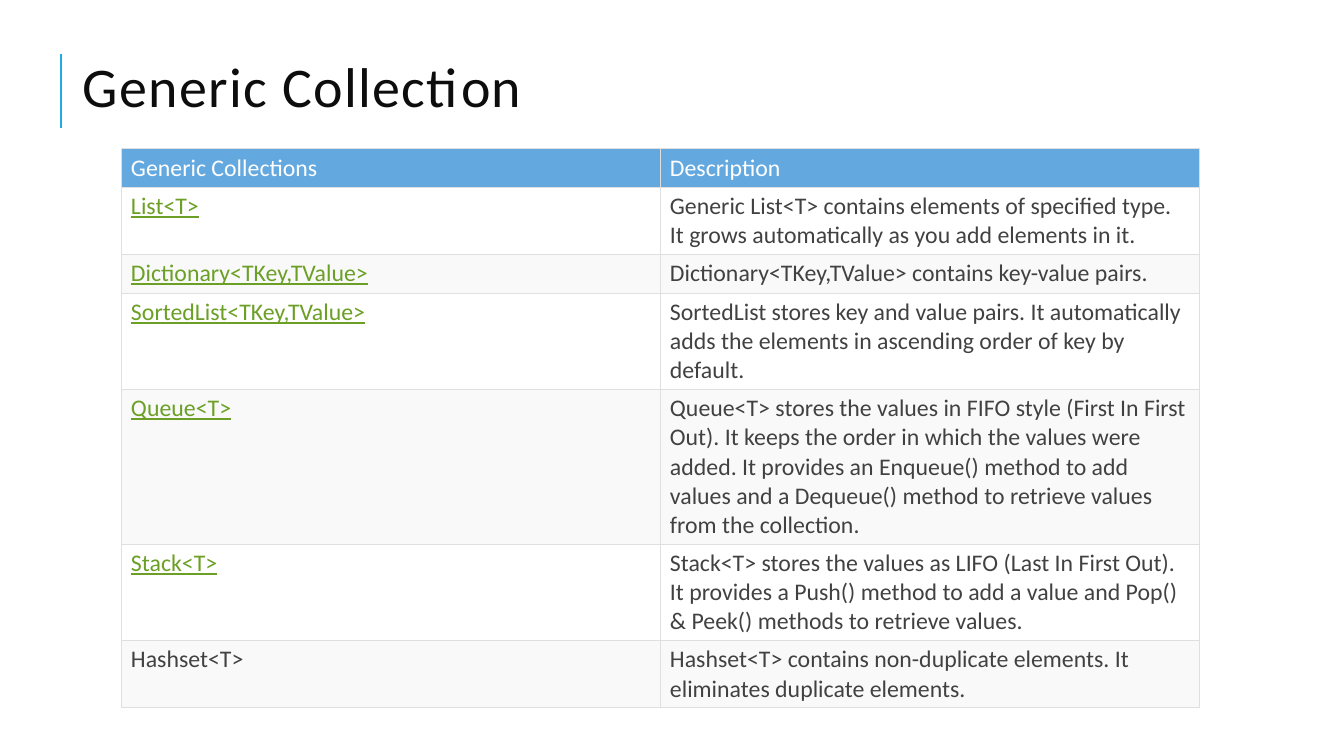
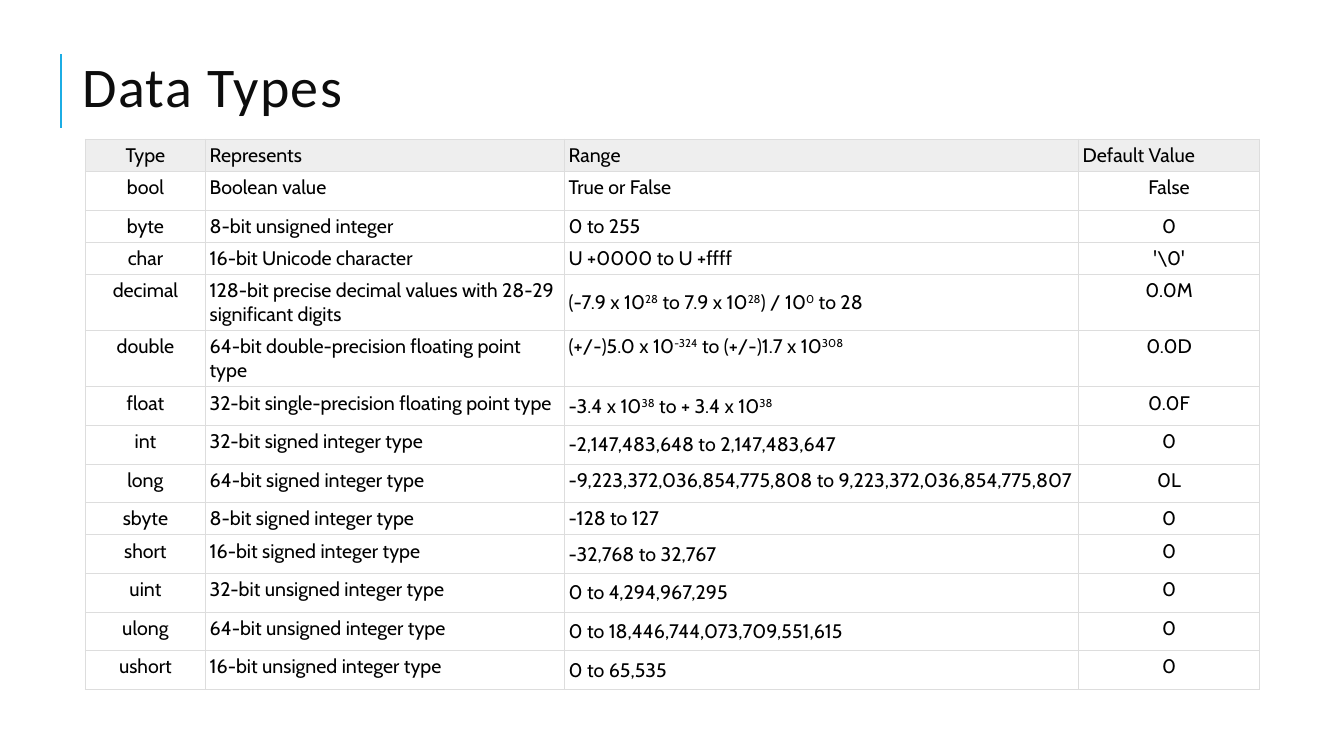
from dataclasses import dataclass

from lxml import etree
from pptx import Presentation
from pptx.dml.color import RGBColor
from pptx.enum import shapes, text
from pptx.oxml import ns
from pptx.util import Pt

ACCENT = "1CADE4"
TITLE_COLOR = "0D0D0D"
LINK_COLOR = "6B9F25"
BODY_COLOR = "414141"
WHITE = "FFFFFF"
BLACK = "000000"

LEFT, CENTER = text.PP_ALIGN.LEFT, text.PP_ALIGN.CENTER
TOP, MIDDLE, BOTTOM = (text.MSO_ANCHOR.TOP, text.MSO_ANCHOR.MIDDLE,
                       text.MSO_ANCHOR.BOTTOM)


@dataclass(frozen=True)
class CellContent:
    """Text of one cell; parts between carets are superscript."""
    text: str
    color: str = BLACK
    fill: str | None = None
    underline: bool = False
    align: text.PP_ALIGN = LEFT
    anchor: text.MSO_ANCHOR = TOP


@dataclass(frozen=True)
class TableStyle:
    font: str
    size: float
    border: str
    inset_x: float
    inset_y: float


@dataclass(frozen=True)
class DataType:
    name: str
    represents: str
    range: str
    default: str
    height: float = 27.6
    range_anchor: text.MSO_ANCHOR = TOP


COLLECTION_STYLE = TableStyle("Calibri", 17, "DFDFDF", 6.8, 3.4)
TYPE_STYLE = TableStyle("Cabin", 14, "DDDDDD", 3, 3)

COLLECTIONS = [
    ("List<T>",
     "Generic List<T> contains elements of specified type. It grows "
     "automatically as you add elements in it."),
    ("Dictionary<TKey,TValue>",
     "Dictionary<TKey,TValue> contains key-value pairs."),
    ("SortedList<TKey,TValue>",
     "SortedList stores key and value pairs. It automatically adds the "
     "elements in ascending order of key by default."),
    ("Queue<T>",
     "Queue<T> stores the values in FIFO style (First In First Out). It keeps "
     "the order in which the values were added. It provides an Enqueue() "
     "method to add values and a Dequeue() method to retrieve values from the "
     "collection."),
    ("Stack<T>",
     "Stack<T> stores the values as LIFO (Last In First Out). It provides a "
     "Push() method to add a value and Pop() & Peek() methods to retrieve "
     "values."),
    ("Hashset<T>",
     "Hashset<T> contains non-duplicate elements. It eliminates duplicate "
     "elements."),
]
UNLINKED = "Hashset<T>"
COLLECTION_HEIGHTS = [27.6, 48, 27.6, 68.8, 110.4, 69, 48]

SHORT_ROW = 23
TALL_ROW = 40.2
DATA_TYPES = [
    DataType("bool", "Boolean value", "True or False", "False"),
    DataType("byte", "8-bit unsigned integer", "0 to 255", "0", SHORT_ROW),
    DataType("char", "16-bit Unicode character", "U +0000 to U +ffff",
             r"'\0'", SHORT_ROW),
    DataType("decimal",
             "128-bit precise decimal values with 28-29 significant digits",
             "(-7.9 x 10^28^ to 7.9 x 10^28^) / 10^0^ to 28", "0.0M",
             TALL_ROW, MIDDLE),
    DataType("double", "64-bit double-precision floating point type",
             "(+/-)5.0 x 10^-324^ to (+/-)1.7 x 10^308^", "0.0D", TALL_ROW),
    DataType("float", "32-bit single-precision floating point type",
             "-3.4 x 10^38^ to + 3.4 x 10^38^", "0.0F", range_anchor=MIDDLE),
    DataType("int", "32-bit signed integer type",
             "-2,147,483,648 to 2,147,483,647", "0", range_anchor=MIDDLE),
    DataType("long", "64-bit signed integer type",
             "-9,223,372,036,854,775,808 to 9,223,372,036,854,775,807", "0L"),
    DataType("sbyte", "8-bit signed integer type", "-128 to 127", "0",
             SHORT_ROW),
    DataType("short", "16-bit signed integer type", "-32,768 to 32,767", "0",
             range_anchor=MIDDLE),
    DataType("uint", "32-bit unsigned integer type", "0 to 4,294,967,295", "0",
             range_anchor=MIDDLE),
    DataType("ulong", "64-bit unsigned integer type",
             "0 to 18,446,744,073,709,551,615", "0", range_anchor=MIDDLE),
    DataType("ushort", "16-bit unsigned integer type", "0 to 65,535", "0",
             range_anchor=MIDDLE),
]


def rgb(color: str) -> RGBColor:
    return RGBColor.from_string(color)


def add_run(paragraph, content: str, font: str, size: float, color: str):
    run = paragraph.add_run()
    run.text = content
    run.font.name = font
    run.font.size = Pt(size)
    run.font.bold = False
    run.font.color.rgb = rgb(color)
    return run


def add_titled_slide(presentation, title: str):
    """Add a blank slide with the accent line and the title."""
    slide = presentation.slides.add_slide(presentation.slide_layouts[6])
    line = slide.shapes.add_connector(
        shapes.MSO_CONNECTOR.STRAIGHT, Pt(43.9), Pt(91.4), Pt(43.9), Pt(38.4))
    line.line.color.rgb = rgb(ACCENT)
    line.line.width = Pt(1.5)
    etree.SubElement(line.element.spPr, ns.qn("a:effectLst"))

    box = slide.shapes.add_textbox(Pt(52), Pt(31.7), Pt(856.8), Pt(67))
    frame = box.text_frame
    frame.word_wrap = True
    frame.vertical_anchor = MIDDLE
    paragraph = frame.paragraphs[0]
    paragraph.line_spacing = 0.8
    run = add_run(paragraph, title, "Calibri", 40, TITLE_COLOR)
    run.font._element.set("spc", "100")
    return slide


def add_borders(cell, color: str) -> None:
    properties = cell._tc.get_or_add_tcPr()
    for position, side in enumerate(("lnL", "lnR", "lnT", "lnB")):
        border = etree.Element(ns.qn(f"a:{side}"), w=str(Pt(0.75)))
        fill = etree.SubElement(border, ns.qn("a:solidFill"))
        etree.SubElement(fill, ns.qn("a:srgbClr"), val=color)
        properties.insert(position, border)


def fill_cell(cell, content: CellContent, style: TableStyle) -> None:
    cell.margin_left = cell.margin_right = Pt(style.inset_x)
    cell.margin_top = cell.margin_bottom = Pt(style.inset_y)
    cell.vertical_anchor = content.anchor
    if content.fill:
        cell.fill.solid()
        cell.fill.fore_color.rgb = rgb(content.fill)
    else:
        cell.fill.background()
    add_borders(cell, style.border)

    paragraph = cell.text_frame.paragraphs[0]
    paragraph.alignment = content.align
    for index, part in enumerate(content.text.split("^")):
        if not part:
            continue
        run = add_run(paragraph, part, style.font, style.size, content.color)
        if content.underline:
            run.font.underline = True
        if index % 2:
            run.font._element.set("baseline", "30000")


def add_styled_table(slide, left: float, top: float, widths: list[float],
                     heights: list[float], rows: list[list[CellContent]],
                     style: TableStyle) -> None:
    table = slide.shapes.add_table(
        len(rows), len(widths), Pt(left), Pt(top),
        Pt(sum(widths)), Pt(sum(heights))).table
    table.first_row = table.horz_banding = False
    for column, width in zip(table.columns, widths):
        column.width = Pt(width)
    for row, height, contents in zip(table.rows, heights, rows):
        row.height = Pt(height)
        for cell, content in zip(row.cells, contents):
            fill_cell(cell, content, style)


def build_collection_slide(presentation) -> None:
    slide = add_titled_slide(presentation, "Generic Collection")
    rows = [[CellContent(heading, WHITE, "63A9E0", anchor=BOTTOM)
             for heading in ("Generic Collections", "Description")]]
    for index, (name, description) in enumerate(COLLECTIONS):
        fill = "F9F9F9" if index % 2 else WHITE
        linked = name != UNLINKED
        rows.append([
            CellContent(name, LINK_COLOR if linked else BODY_COLOR, fill,
                        underline=linked),
            CellContent(description, BODY_COLOR, fill),
        ])
    add_styled_table(slide, 86.8, 106.2, [385, 385], COLLECTION_HEIGHTS, rows,
                     COLLECTION_STYLE)


def build_type_slide(presentation) -> None:
    slide = add_titled_slide(presentation, "Data Types")
    headings = ("Type", "Represents", "Range", "Default Value")
    rows = [[CellContent(heading, fill="EEEEEE",
                         align=CENTER if heading == "Type" else LEFT)
             for heading in headings]]
    for kind in DATA_TYPES:
        rows.append([
            CellContent(kind.name, align=CENTER),
            CellContent(kind.represents),
            CellContent(kind.range, anchor=kind.range_anchor),
            CellContent(kind.default, align=CENTER),
        ])
    heights = [SHORT_ROW] + [kind.height for kind in DATA_TYPES]
    add_styled_table(slide, 61, 99.4, [85.8, 256.4, 367.2, 129.4], heights,
                     rows, TYPE_STYLE)


def main() -> None:
    presentation = Presentation()
    presentation.slide_width = Pt(960)
    presentation.slide_height = Pt(540)
    build_collection_slide(presentation)
    build_type_slide(presentation)
    presentation.save("out.pptx")


if __name__ == "__main__":
    main()
